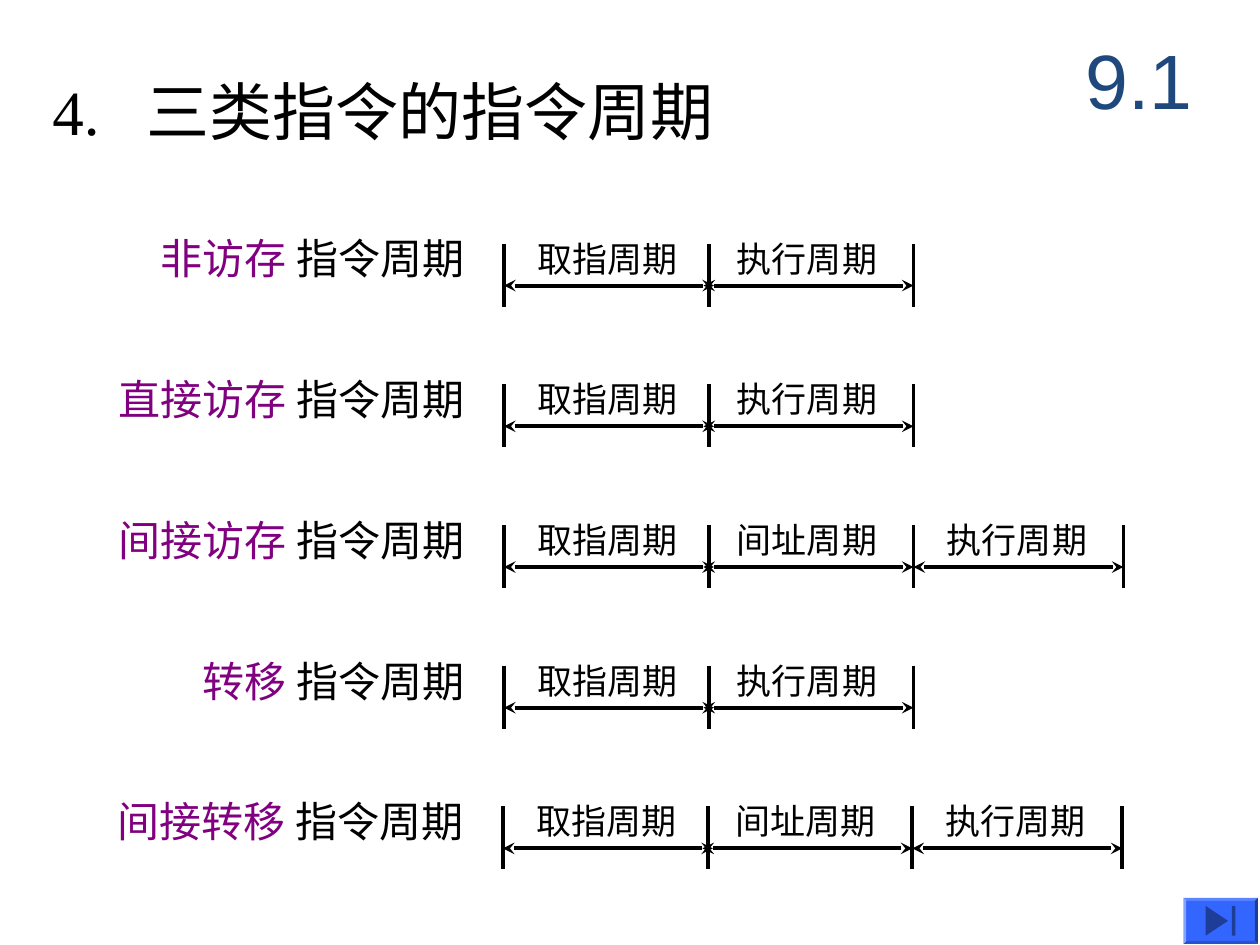
"""Build the slide on the instruction cycles of three instruction classes."""
import pptx
import pptx.dml.color
import pptx.enum.shapes
import pptx.enum.text
import pptx.oxml
import pptx.oxml.ns
import pptx.util

ALIGN = pptx.enum.text.PP_ALIGN
ANCHOR = pptx.enum.text.MSO_ANCHOR
AUTO = pptx.enum.text.MSO_AUTO_SIZE
SHAPE = pptx.enum.shapes.MSO_SHAPE

FETCH, INDIRECT, EXECUTE = "取指周期", "间址周期", "执行周期"
CYCLES = [
    ("非访存", [FETCH, EXECUTE]),
    ("直接访存", [FETCH, EXECUTE]),
    ("间接访存", [FETCH, INDIRECT, EXECUTE]),
    ("转移", [FETCH, EXECUTE]),
    ("间接转移", [FETCH, INDIRECT, EXECUTE]),
]
TICKS = [48, 67.5, 87, 107]
SPANS = [(48, 68), (67, 87), (87, 107)]
FIRST_ROW, ROW_STEP = 23.2, 13.4


def color(value):
    """Turn a hex string into a colour."""
    return pptx.dml.color.RGBColor.from_string(value)


def element(parent, tag, **attrs):
    """Append a drawing element with attributes."""
    child = pptx.oxml.parse_xml(f"<a:{tag} {pptx.oxml.ns.nsdecls('a')}/>")
    for name, value in attrs.items():
        child.set(name, str(value))
    parent.append(child)
    return child


def add_run(p, text, size=20, font="Times New Roman", fill="000000"):
    """Add a formatted run to a paragraph."""
    r = p.add_run()
    r.text = text
    r.font.size = pptx.util.Pt(size)
    r.font.name = font
    r.font.color.rgb = color(fill)


class Deck:
    """Hold the style and current slide on a grid of 120 columns by 90 rows."""

    def __init__(self):
        """Start a presentation with one title-only slide."""
        self.prs = pptx.Presentation()
        self.prs.slide_width = pptx.util.Inches(10)
        self.prs.slide_height = pptx.util.Inches(7.5)
        self.s = self.prs.slides.add_slide(self.prs.slide_layouts[5])
        self.ink, self.accent = "000000", "800080"

    def place(self, *cells):
        """Convert grid lengths, horizontal and vertical in turn, to EMU."""
        units = (self.prs.slide_width / 120, self.prs.slide_height / 90)
        return [round(c * units[i % 2]) for i, c in enumerate(cells)]

    def title(self, text, *box):
        """Fill and move the title placeholder."""
        sp = self.s.shapes.title
        sp.left, sp.top, sp.width, sp.height = self.place(*box)
        tf = sp.text_frame
        tf.vertical_anchor = ANCHOR.MIDDLE
        tf.auto_size = AUTO.NONE
        p = tf.paragraphs[0]
        p.alignment = ALIGN.CENTER
        add_run(p, text, size=44, font="Arial", fill="1F497D")

    def text(self, shapes, box, runs, size=20, align=ALIGN.LEFT):
        """Add a text box of (text, colour) runs."""
        tf = shapes.add_textbox(*self.place(*box)).text_frame
        tf.word_wrap = True
        p = tf.paragraphs[0]
        p.alignment = align
        for text, fill in runs:
            add_run(p, text, size=size, fill=fill)
        return tf

    def heading(self, number, text, *box):
        """Add a numbered heading with a tab after the number."""
        tf = self.text(self.s.shapes, box, [], size=36)
        tf.margin_left = tf.margin_right = 0
        tf.vertical_anchor = ANCHOR.MIDDLE
        p = tf.paragraphs[0]
        tabs = element(p._p.get_or_add_pPr(), "tabLst")
        element(tabs, "tab", pos=self.place(9)[0], algn="l")
        add_run(p, f"{number}\t{text}", size=36)

    def line(self, shapes, *ends, arrows=False):
        """Add a straight line, with arrowheads at both ends on request."""
        kind = pptx.enum.shapes.MSO_CONNECTOR.STRAIGHT
        c = shapes.add_connector(kind, *self.place(*ends))
        c.line.color.rgb = color(self.ink)
        c.line.width = pptx.util.Pt(2.25)
        if arrows:
            for end in ("headEnd", "tailEnd"):
                element(c.line._get_or_add_ln(), end, type="stealth")
        element(c._element.spPr, "effectLst")

    def timeline(self, x, y, phases):
        """Add a group of ticks, double arrows and phase names."""
        shapes = self.s.shapes.add_group_shape().shapes
        for tick in TICKS[:len(phases) + 1]:
            self.line(shapes, x + tick, y, x + tick, y + 6)
        for (start, end), phase in zip(SPANS, phases):
            self.line(shapes, x + start, y + 4, x + end, y + 4, arrows=True)
            box = (x + start + 2, y - 1.2, 16.5, 5.3)
            self.text(shapes, box, [(phase, self.ink)])

    def cycle_label(self, x, y, name):
        """Add a cycle name that ends at column x."""
        width = 20.2 + 4 * len(name)
        runs = [(name + " ", self.accent), ("指令周期", self.ink)]
        self.text(self.s.shapes, (x - width, y, width, 6), runs,
                  size=24, align=ALIGN.RIGHT)

    def block(self, kind, *box):
        """Add a plain blue preset shape."""
        sp = self.s.shapes.add_shape(kind, *self.place(*box))
        sp.shadow.inherit = False
        sp.fill.solid()
        sp.fill.fore_color.rgb = color("3366FF")
        sp.line.fill.background()
        return sp

    def end_button(self, x, y, width, height, edge=0.3):
        """Add a bevelled button that stands for the last slide."""
        bevel = self.block(SHAPE.BEVEL, x, y, width, height)
        bevel.adjustments[0] = edge / height
        self.block(SHAPE.ACTION_BUTTON_END, x + edge, y + edge,
                   width - 2 * edge, height - 2 * edge)


def main():
    """Build and save the slide."""
    deck = Deck()
    deck.title("9.1", 101, 2, 15, 11)
    deck.heading("4.", "三类指令的指令周期", 5, 7, 66, 7)
    for i, (name, phases) in enumerate(CYCLES):
        y = FIRST_ROW + i * ROW_STEP
        shift = -0.1 if i == len(CYCLES) - 1 else 0
        deck.timeline(shift, y, phases)
        deck.cycle_label(45.4 + shift, y - 1.6, name)
    deck.end_button(112.7, 85.5, 7.1, 4.4)
    deck.prs.save("out.pptx")


if __name__ == "__main__":
    main()
